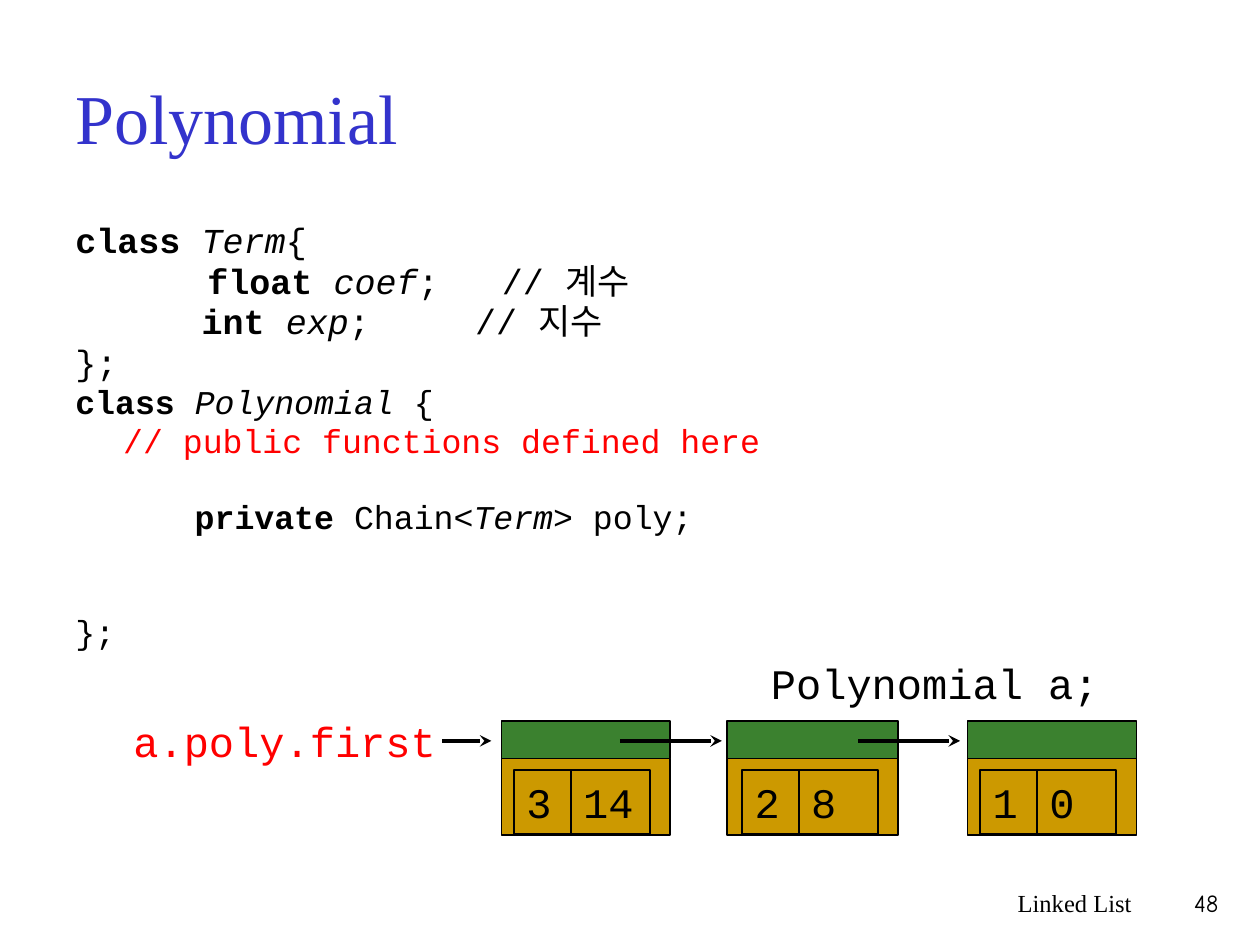
import pptx
import pptx.util
import pptx.dml.color
import pptx.enum.shapes
import pptx.enum.text
import pptx.oxml.ns

Pt = pptx.util.Pt
SHAPES = pptx.enum.shapes.MSO_SHAPE
ALIGN = pptx.enum.text.PP_ALIGN
ANCHOR = pptx.enum.text.MSO_ANCHOR
MONO, SERIF = "Courier New", "Times New Roman"
BLACK, RED, BLUE = "000000", "FF0000", "3333CC"
GOLD, GREEN = "CC9900", "3B812F"

deck = pptx.Presentation()
deck.slide_width = pptx.util.Inches(10)
deck.slide_height = pptx.util.Inches(7.5)
column = deck.slide_width // 100
row = deck.slide_height // 75
slide = deck.slides.add_slide(deck.slide_layouts[6])


def color(hex_string):
    return pptx.dml.color.RGBColor.from_string(hex_string)


def write(holder, text, size, face, ink, align=ALIGN.LEFT, anchor=ANCHOR.TOP):
    frame = holder.text_frame
    frame.word_wrap = True
    frame.vertical_anchor = anchor
    paragraph = frame.paragraphs[0]
    paragraph.text = text
    paragraph.alignment = align
    paragraph.font.size = Pt(size)
    paragraph.font.name = face
    paragraph.font.color.rgb = color(ink)


labels = [
    ((5, 3, 90, 12.5), "Polynomial", 40, SERIF, BLUE, ALIGN.LEFT, ANCHOR.MIDDLE),
    ((9.6, 56.3, 27.1, 6.6), "a.poly.first", 24, MONO, RED),
    ((60.2, 51.7, 28.3, 5), "Polynomial a;", 24, MONO, BLACK),
    ((59.2, 70, 31.6, 5), "Linked List", 14, SERIF, BLACK, ALIGN.RIGHT),
    ((90.8, 70, 6.9, 5), "48", 14, "Comic Neue", BLACK, ALIGN.RIGHT),
]
for (x, y, w, h), *style in labels:
    label = slide.shapes.add_textbox(int(x * column), int(y * row), int(w * column), int(h * row))
    write(label, *style)

code = slide.shapes.add_textbox(5 * column, int(17.5 * row), 90 * column, int(37.3 * row)).text_frame
code.word_wrap = True
code_lines = [
    (20, 0, 0, BLACK, [("class ", "b"), ("Term", "i"), ("{", "")]),
    (20, 4, 3.8, BLACK, [("    ", ""), ("float ", "b"), ("coef", "i"), (";   // 계수", "")]),
    (20, 4, 0, BLACK, [("      ", ""), ("int ", "b"), ("exp", "i"), (";     // 지수", "")]),
    (20, 4, 0, BLACK, [("};", "")]),
    (19, 4, 0, BLACK, [("class ", "b"), ("Polynomial", "i"), (" {", "")]),
    (19, 4, 3.8, RED, [("// public functions defined here", "")]),
    (19, 25.3, 0, BLACK, [("      private ", "b"), ("Chain<", ""), ("Term", "i"), ("> poly;", "")]),
    (19, 47.4, 0, BLACK, [("};", "")]),
]
for index, (size, before, indent, ink, pieces) in enumerate(code_lines):
    line = code.paragraphs[0] if index == 0 else code.add_paragraph()
    properties = line._p.get_or_add_pPr()
    properties.set("marL", str(int(indent * column)))
    properties.set("indent", "0")
    line.line_spacing = 0.8
    line.space_before = Pt(before)
    line.font.size = Pt(size)
    line.font.name = MONO
    line.font.color.rgb = color(ink)
    for words, emphasis in pieces:
        run = line.add_run()
        run.text = words
        if emphasis == "b":
            run.font.bold = True
        elif emphasis == "i":
            run.font.italic = True

nodes = [(39.8, 13.4, 1, "3", "14"), (57.7, 13.6, 1.2, "2", "8"), (76.8, 13.4, 1, "1", "0")]
blocks = []
for left, width, inset, coef, exp in nodes:
    blocks += [
        (left, 60.2, width, 6.1, GOLD, ""),
        (left, 57.2, width, 3, GREEN, ""),
        (left + inset, 61.1, 4.5, 5.1, None, coef),
        (left + inset + 4.5, 61.1, 6.3, 5.1, None, exp),
    ]
for x, y, w, h, fill, value in blocks:
    block = slide.shapes.add_shape(
        SHAPES.RECTANGLE, int(x * column), int(y * row), int(w * column), int(h * row))
    block.shadow.inherit = False
    block.line.color.rgb = color(BLACK)
    block.line.width = Pt(1)
    if fill:
        block.fill.solid()
        block.fill.fore_color.rgb = color(fill)
    else:
        block.fill.background()
        write(block, value, 24, MONO, BLACK)

for start, end in [(35.1, 39), (49.2, 57.3), (68.1, 76.2)]:
    link = slide.shapes.add_connector(
        pptx.enum.shapes.MSO_CONNECTOR.STRAIGHT,
        int(start * column), int(58.8 * row), int(end * column), int(58.8 * row))
    link.line.color.rgb = color(BLACK)
    link.line.width = Pt(2.25)
    stroke = link.line._get_or_add_ln()
    stroke.append(stroke.makeelement(pptx.oxml.ns.qn("a:tailEnd"), {"type": "stealth"}))
    outline = link._element.spPr
    outline.append(outline.makeelement(pptx.oxml.ns.qn("a:effectLst"), {}))

deck.save("out.pptx")
